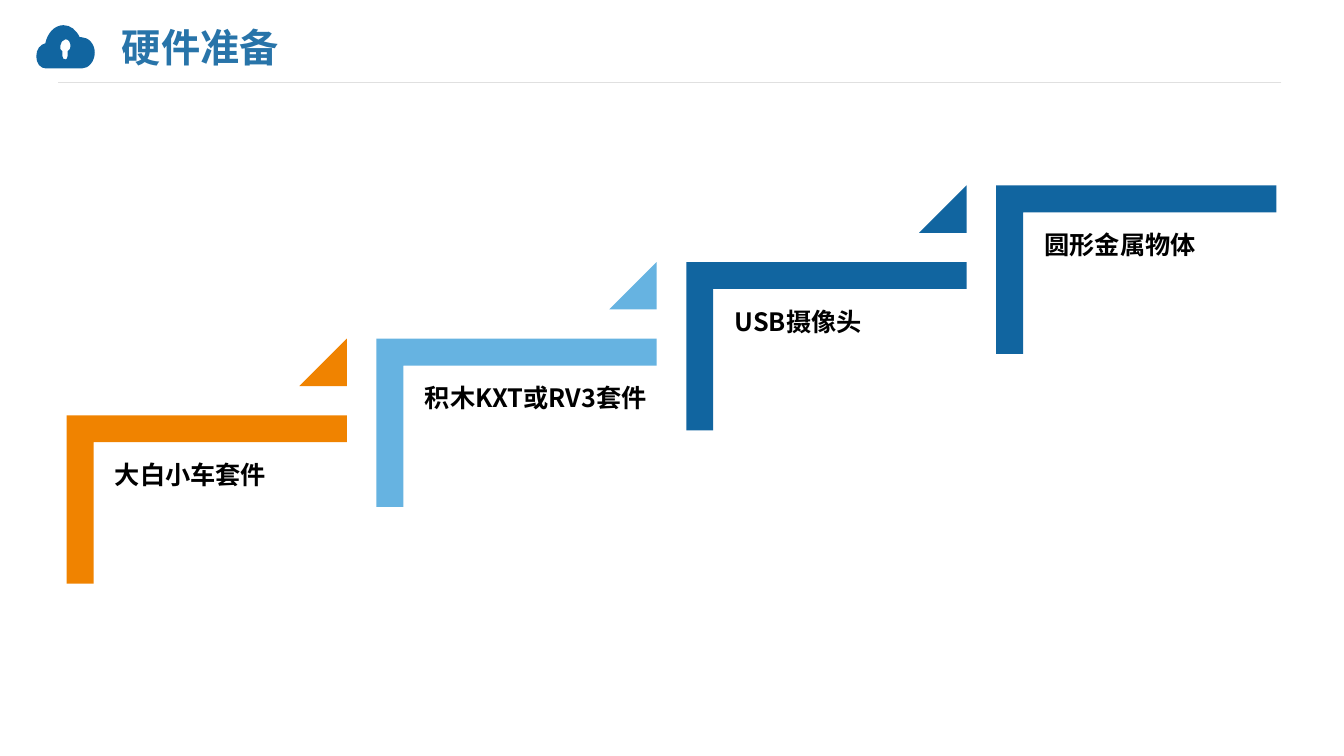
import pptx
import pptx.util
import pptx.dml.color
import pptx.enum.shapes
import pptx.enum.text
import pptx.oxml.ns
import lxml.etree

Inches = pptx.util.Inches
qn = pptx.oxml.ns.qn
MSO_SHAPE = pptx.enum.shapes.MSO_SHAPE
MSO_ANCHOR = pptx.enum.text.MSO_ANCHOR

FONT = "Noto Sans CJK SC"
COLORS = {"title": "2874A9", "rule": "E0E0E0", "text": "000000",
          "orange": "F08300", "sky": "66B3E1", "blue": "1165A0"}
TITLE = "硬件准备"
STEPS = [("大白小车套件", "orange"), ("积木KXT或RV3套件", "sky"),
         ("USB摄像头", "blue"), ("圆形金属物体", "blue")]

# Each outline: a start point, then lines (x, y) or curves (x1, y1, x2, y2, x, y)
CLOUD = [(0.81, 0.37), (0.8, 0.37, 0.8, 0.37, 0.79, 0.37),
         (0.76, 0.3, 0.7, 0.25, 0.63, 0.25), (0.54, 0.25, 0.47, 0.33, 0.45, 0.43),
         (0.4, 0.44, 0.36, 0.49, 0.36, 0.56), (0.36, 0.63, 0.4, 0.68, 0.46, 0.68),
         (0.81, 0.68), (0.88, 0.68, 0.94, 0.61, 0.94, 0.52),
         (0.94, 0.44, 0.88, 0.37, 0.81, 0.37)]
KEYHOLE = [(0.67, 0.51), (0.67, 0.56), (0.67, 0.58, 0.66, 0.59, 0.65, 0.59),
           (0.63, 0.59, 0.62, 0.58, 0.62, 0.56), (0.62, 0.51),
           (0.6, 0.5, 0.59, 0.48, 0.6, 0.45), (0.6, 0.42, 0.62, 0.4, 0.65, 0.39),
           (0.68, 0.39, 0.7, 0.42, 0.7, 0.46), (0.7, 0.48, 0.69, 0.5, 0.67, 0.51)]

# First and last step's left edge, first top edge, rise per step, and sizes
FIRST_X, LAST_X = 0.66, 9.88
FIRST_Y, RISE = 4.12, 0.76
STEP_W, STEP_H = 2.78, 1.67
TRIANGLE = 0.47


def rgb(name):
    return pptx.dml.color.RGBColor.from_string(COLORS[name])


def write(shape, text, size, color, insets=(0, 0, 0, 0), anchor=MSO_ANCHOR.TOP, spacing=1.0):
    tf = shape.text_frame
    tf.word_wrap = True
    tf.auto_size = pptx.enum.text.MSO_AUTO_SIZE.NONE
    tf.vertical_anchor = anchor
    tf.margin_left, tf.margin_top, tf.margin_right, tf.margin_bottom = map(Inches, insets)
    p = tf.paragraphs[0]
    p.alignment = pptx.enum.text.PP_ALIGN.LEFT
    p.line_spacing = spacing
    r = p.add_run()
    r.text = text
    r.font.size = pptx.util.Pt(size)
    r.font.bold = True
    r.font.name = FONT
    r.font.color.rgb = rgb(color)
    ea = lxml.etree.SubElement(r.font._element, qn("a:ea"))
    ea.set("typeface", FONT)


def paint(shape, color):
    shape.shadow.inherit = False
    shape.fill.solid()
    shape.fill.fore_color.rgb = rgb(color)
    shape.line.fill.background()


def add_preset(s, kind, box, color, adjustments):
    sp = s.shapes.add_shape(kind, *map(Inches, box))
    for i, value in enumerate(adjustments):
        sp.adjustments[i] = value
    paint(sp, color)
    return sp


def bend(sp, segments):
    """Turn the freeform's straight lines into curves where the segment has control points."""
    lines = list(sp._element.iter(qn("a:lnTo")))
    for line, segment in zip(lines, segments):
        if len(segment) == 2:
            continue
        line.tag = qn("a:cubicBezTo")
        for point in list(line):
            line.remove(point)
        for x, y in zip(segment[::2], segment[1::2]):
            point = lxml.etree.SubElement(line, qn("a:pt"))
            point.set("x", str(Inches(x) - sp.left))
            point.set("y", str(Inches(y) - sp.top))


def add_cloud(s):
    cloud, keyhole = [[(Inches(segment[-2]), Inches(segment[-1])) for segment in outline]
                      for outline in (CLOUD, KEYHOLE)]
    builder = s.shapes.build_freeform(*cloud[0])
    builder.add_line_segments(cloud[1:], close=True)
    builder.move_to(*keyhole[0])
    builder.add_line_segments(keyhole[1:], close=True)
    sp = builder.convert_to_shape()
    bend(sp, CLOUD[1:] + KEYHOLE[1:])
    paint(sp, "blue")


def add_rule(s):
    rule = s.shapes.add_connector(pptx.enum.shapes.MSO_CONNECTOR.STRAIGHT,
                                  Inches(12.71), Inches(0.82), Inches(0.58), Inches(0.82))
    rule.line.color.rgb = rgb("rule")
    rule.line.width = pptx.util.Pt(0.75)
    lxml.etree.SubElement(rule._element.spPr, qn("a:effectLst"))


def add_step(s, index, text, color):
    last = len(STEPS) - 1
    x = FIRST_X + index * (LAST_X - FIRST_X) / last
    y = FIRST_Y - index * RISE
    # The corner shape is drawn upright and turned about its centre
    turn = (STEP_W - STEP_H) / 2
    corner = add_preset(s, MSO_SHAPE.CORNER, (x + turn, y - turn, STEP_H, STEP_W),
                        color, (0.16, 0.16))
    corner.rotation = 90
    label = s.shapes.add_textbox(*map(Inches, (x + 0.28, y + 0.27, 2.51, 2.2)))
    write(label, text, 18, "text", insets=(0.2, 0.2, 0, 0.07), spacing=0.9)
    if index < last:
        add_preset(s, MSO_SHAPE.ISOSCELES_TRIANGLE,
                   (x + STEP_W - TRIANGLE, y - RISE, TRIANGLE, TRIANGLE), color, (1,))


def main():
    prs = pptx.Presentation()
    prs.slide_width, prs.slide_height = Inches(13.33), Inches(7.5)
    s = prs.slides.add_slide(prs.slide_layouts[5])
    title = s.shapes.title
    title.left, title.top, title.width, title.height = map(Inches, (1.21, 0.2, 8.89, 0.52))
    write(title, TITLE, 28, "title", anchor=MSO_ANCHOR.MIDDLE)
    add_rule(s)
    add_cloud(s)
    for index, (text, color) in enumerate(STEPS):
        add_step(s, index, text, color)
    prs.save("out.pptx")


if __name__ == "__main__":
    main()
